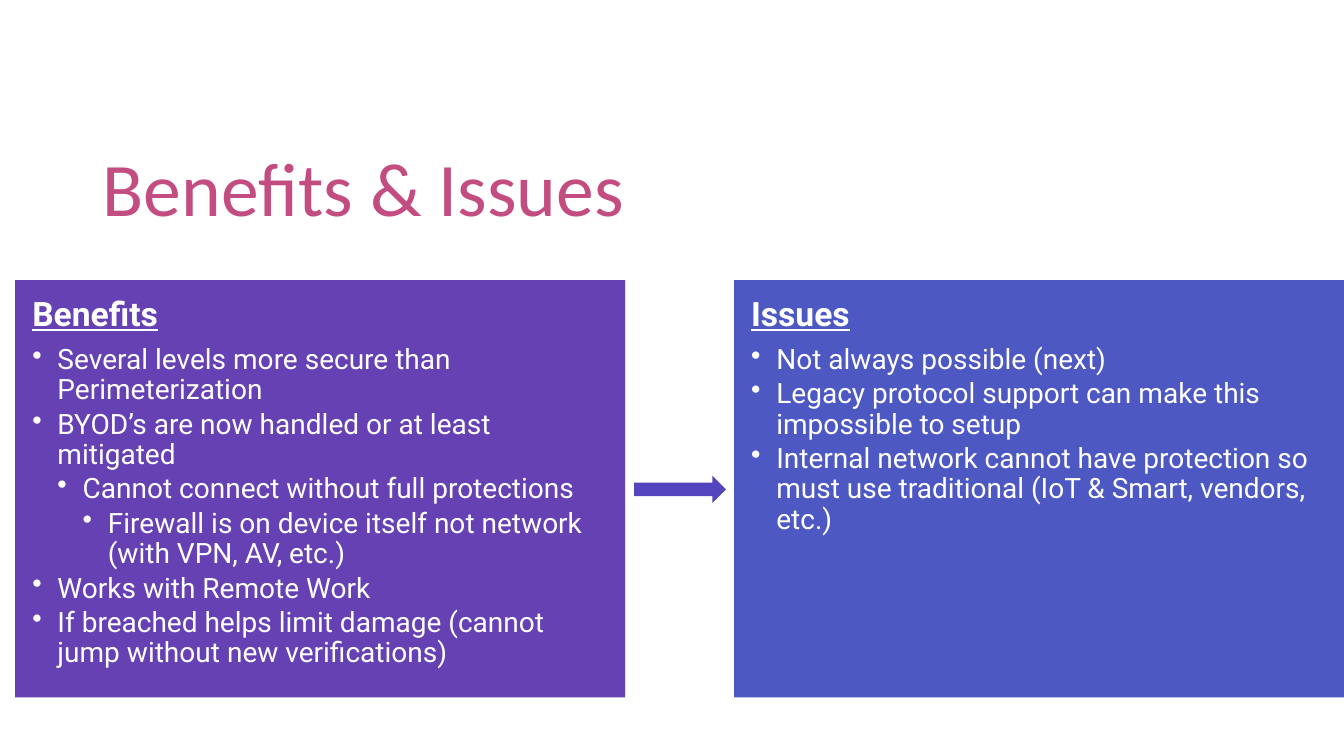
from dataclasses import dataclass

from lxml import etree
from pptx import Presentation
from pptx import util as u
from pptx.dml.color import RGBColor
from pptx.enum import shapes, text
from pptx.oxml.ns import qn

EMU_PER_PX = 9144  # 100 px to the inch


@dataclass(frozen=True)
class Theme:
    title_color: str = "C34D80"
    benefits_fill: str = "6641B4"
    arrow_fill: str = "5245BE"
    issues_fill: str = "4D58C3"
    panel_text: str = "FFFFFF"
    title_font: str = "Calibri"
    body_font: str = "Roboto"
    title_size: int = 54
    heading_size: int = 24
    bullet_size: int = 20


@dataclass(frozen=True)
class Bullet:
    words: str
    level: int = 1


@dataclass(frozen=True)
class Panel:
    heading: str
    left: int
    fill: str
    bullets: tuple[Bullet, ...]


THEME = Theme()
PANEL_TOP, PANEL_WIDTH, PANEL_HEIGHT = 278, 605, 414
PANEL_INSET = 17
BULLET_INDENT = 25

PANELS = (
    Panel("Benefits", 15, THEME.benefits_fill, (
        Bullet("Several levels more secure than Perimeterization"),
        Bullet("BYOD’s are now handled or at least mitigated"),
        Bullet("Cannot connect without full protections", 2),
        Bullet("Firewall is on device itself not network (with VPN, AV, etc.)", 3),
        Bullet("Works with Remote Work"),
        Bullet("If breached helps limit damage (cannot jump without new verifications)"),
    )),
    Panel("Issues", 728, THEME.issues_fill, (
        Bullet("Not always possible (next)"),
        Bullet("Legacy protocol support can make this impossible to setup"),
        Bullet("Internal network cannot have protection so must use traditional "
               "(IoT & Smart, vendors, etc.)"),
    )),
)


def px(length: int) -> u.Emu:
    return u.Emu(length * EMU_PER_PX)


def write(para, words: str, *, size: int, color: str, font: str = THEME.body_font,
          bold: bool = False, underline: bool = False, space_after: float = 0) -> None:
    para.alignment = text.PP_ALIGN.LEFT
    para.line_spacing = 0.9
    para.space_before = u.Pt(0)
    para.space_after = u.Pt(space_after)
    span = para.add_run()
    span.text = words
    span.font.name = font
    span.font.size = u.Pt(size)
    span.font.bold = bold
    span.font.underline = underline
    span.font.color.rgb = RGBColor.from_string(color)


def add_bullet_mark(para, level: int) -> None:
    para.level = level
    properties = para._p.get_or_add_pPr()
    properties.set("marL", str(px(BULLET_INDENT * level)))
    properties.set("indent", str(px(-BULLET_INDENT)))
    etree.SubElement(properties, qn("a:buChar")).set("char", "•")


def add_filled_shape(page, kind, left: int, top: int, width: int, height: int, fill: str):
    box = page.shapes.add_shape(kind, px(left), px(top), px(width), px(height))
    box.shadow.inherit = False
    box.fill.solid()
    box.fill.fore_color.rgb = RGBColor.from_string(fill)
    box.line.fill.background()
    return box


def add_panel(page, panel: Panel) -> None:
    box = add_filled_shape(page, shapes.MSO_SHAPE.RECTANGLE, panel.left, PANEL_TOP,
                           PANEL_WIDTH, PANEL_HEIGHT, panel.fill)
    frame = box.text_frame
    frame.word_wrap = True
    frame.vertical_anchor = text.MSO_ANCHOR.TOP
    frame.margin_left = frame.margin_right = px(PANEL_INSET)
    frame.margin_top = frame.margin_bottom = px(PANEL_INSET)
    write(frame.paragraphs[0], panel.heading, size=THEME.heading_size,
          color=THEME.panel_text, bold=True, underline=True, space_after=8.4)
    for bullet in panel.bullets:
        para = frame.add_paragraph()
        add_bullet_mark(para, bullet.level)
        write(para, bullet.words, size=THEME.bullet_size, color=THEME.panel_text,
              space_after=3)


def set_title(page, words: str) -> None:
    title = page.shapes.title
    title.left, title.top, title.width, title.height = px(92), px(40), px(1150), px(196)
    frame = title.text_frame
    frame.auto_size = text.MSO_AUTO_SIZE.NONE
    frame.vertical_anchor = text.MSO_ANCHOR.BOTTOM
    write(frame.paragraphs[0], words, size=THEME.title_size, color=THEME.title_color,
          font=THEME.title_font)


def main() -> None:
    deck = Presentation()
    deck.slide_width, deck.slide_height = px(1333), px(750)
    page = deck.slides.add_slide(deck.slide_layouts.get_by_name("Title Only"))
    set_title(page, "Benefits & Issues")
    for panel in PANELS:
        add_panel(page, panel)
    add_filled_shape(page, shapes.MSO_SHAPE.RIGHT_ARROW, 629, 472, 91, 27,
                     THEME.arrow_fill)
    deck.save("out.pptx")


if __name__ == "__main__":
    main()
